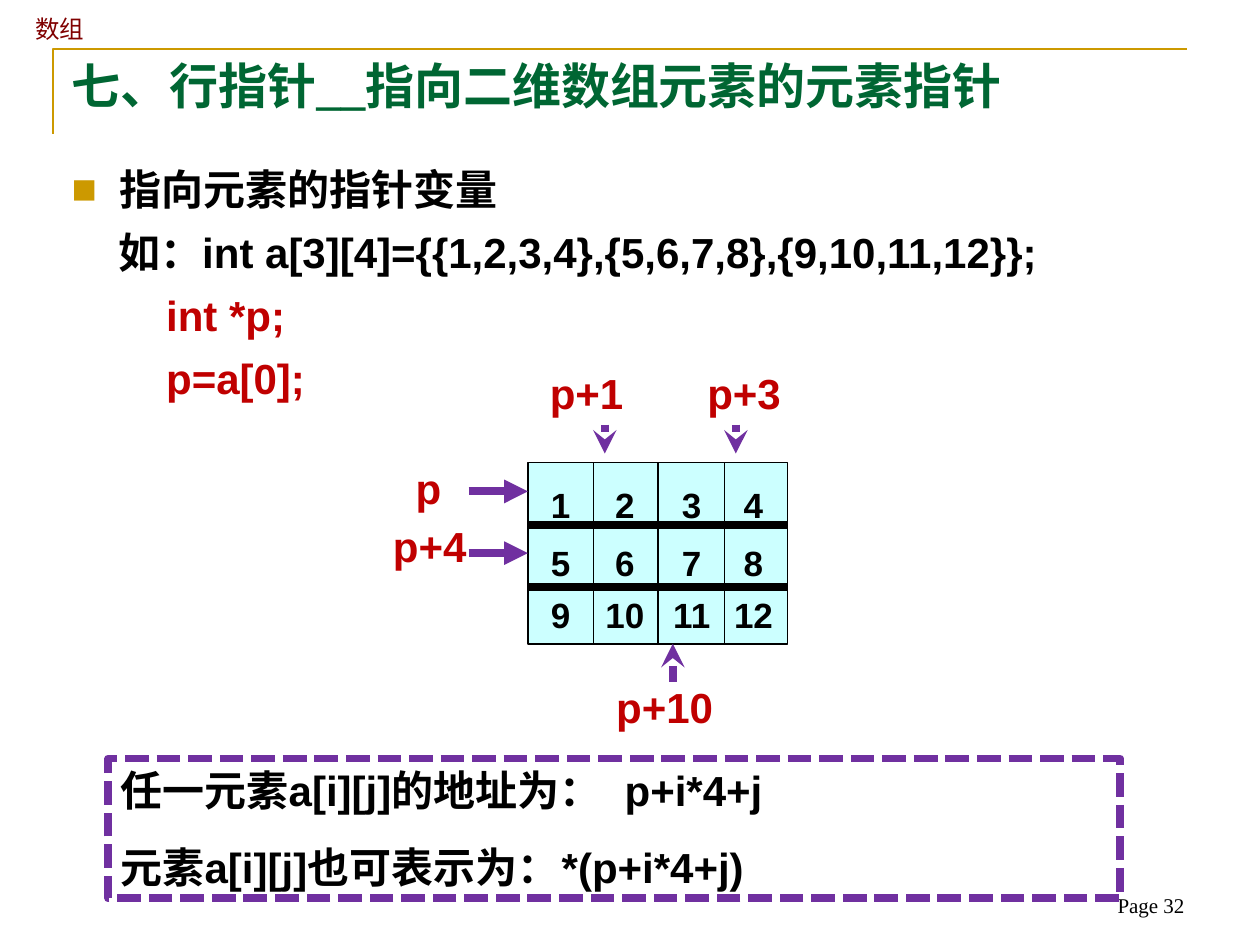
from dataclasses import dataclass

from pptx import Presentation
from pptx.dml.color import RGBColor
from pptx.enum.dml import MSO_LINE
from pptx.enum.shapes import MSO_CONNECTOR, MSO_SHAPE
from pptx.enum.text import MSO_ANCHOR, PP_ALIGN
from pptx.oxml.ns import qn
from pptx.util import Inches, Pt
from lxml import etree

LEFT, CENTER, RIGHT = PP_ALIGN.LEFT, PP_ALIGN.CENTER, PP_ALIGN.RIGHT
TOP, BOTTOM = MSO_ANCHOR.TOP, MSO_ANCHOR.BOTTOM
STRAIGHT, RECT, SYS_DASH = MSO_CONNECTOR.STRAIGHT, MSO_SHAPE.RECTANGLE, MSO_LINE.SQUARE_DOT
BLACK, RED, PURPLE, GOLD = "000000", "C00000", "7030A0", "CC9900"
CJK = "Noto Sans CJK SC"


@dataclass
class Para:
    text: str
    size: float = 24
    color: str = BLACK
    font: str = "Arial"
    bold: bool = True
    align: PP_ALIGN = LEFT
    before: float = 0
    margin: float = 0
    indent: float = 0
    bullet: str = ""
    tab: float = 0


@dataclass
class Label:
    text: str
    left: float
    top: float
    width: float


@dataclass
class Arrow:
    x1: float
    y1: float
    x2: float
    y2: float
    head: str


def rgb(value: str) -> RGBColor:
    return RGBColor.from_string(value)


def add_child(parent, tag: str, **attrs):
    return etree.SubElement(parent, qn(tag), attrs)


def write(tf, paras: list[Para], wrap: bool = True, anchor=TOP) -> None:
    frame = {"word_wrap": wrap, "vertical_anchor": anchor,
             "margin_left": Inches(0.1), "margin_right": Inches(0.1),
             "margin_top": Inches(0.05), "margin_bottom": Inches(0.05)}
    for name, value in frame.items():
        setattr(tf, name, value)
    for i, para in enumerate(paras):
        p = tf.paragraphs[0] if i == 0 else tf.add_paragraph()
        p.alignment, p.space_before = para.align, Pt(para.before)
        pPr = p._p.get_or_add_pPr()
        pPr.set("marL", str(Inches(para.margin)))
        pPr.set("indent", str(Inches(para.indent)))
        if para.bullet:
            add_child(add_child(pPr, "a:buClr"), "a:srgbClr", val=GOLD)
            add_child(pPr, "a:buFont", typeface="Arial")
            add_child(pPr, "a:buChar", char=para.bullet)
        else:
            add_child(pPr, "a:buNone")
        if para.tab:
            add_child(add_child(pPr, "a:tabLst"), "a:tab", pos=str(Inches(para.tab)), algn="l")
        r = p.add_run()
        r.text = para.text
        for name, value in {"size": Pt(para.size), "bold": para.bold, "name": para.font}.items():
            setattr(r.font, name, value)
        r.font.color.rgb = rgb(para.color)
        add_child(r._r.get_or_add_rPr(), "a:ea", typeface=CJK)


def add_text(s, left: float, top: float, width: float, height: float,
             paras: list[Para], **frame) -> None:
    box = s.shapes.add_textbox(Inches(left), Inches(top), Inches(width), Inches(height))
    write(box.text_frame, paras, **frame)


def add_rect(s, left: float, top: float, width: float, height: float,
             color: str, weight: float, fill: str = ""):
    sp = s.shapes.add_shape(RECT, Inches(left), Inches(top), Inches(width), Inches(height))
    sp.shadow.inherit = False
    if fill:
        sp.fill.solid()
        sp.fill.fore_color.rgb = rgb(fill)
    else:
        sp.fill.background()
    sp.line.color.rgb, sp.line.width = rgb(color), Pt(weight)
    return sp


def add_line(s, x1: float, y1: float, x2: float, y2: float,
             color: str, weight: float, head: str = ""):
    line = s.shapes.add_connector(STRAIGHT, Inches(x1), Inches(y1), Inches(x2), Inches(y2))
    line.line.color.rgb, line.line.width = rgb(color), Pt(weight)
    if head:
        add_child(line.line._get_or_add_ln(), "a:tailEnd", type=head)
    add_child(line._element.spPr, "a:effectLst")
    return line


# Array grid geometry
GRID_L, GRID_T, GRID_W, GRID_H = 4.19, 3.67, 2.06, 1.44
GRID_R, GRID_B = GRID_L + GRID_W, GRID_T + GRID_H
COL_W = 0.52
ROW_LINES = [4.17, 4.66]
NUMBER_TOPS = [3.79, 4.25, 4.66]
NUMBER_LEFTS = [4.19, 4.7, 5.23, 5.72]

LABELS = [
    Label("p", 2.81, 3.62, 1.18),
    Label("p+4", 2.82, 4.08, 1.18),
    Label("p+1", 4.05, 2.87, 1.21),
    Label("p+3", 5.33, 2.87, 1.15),
    Label("p+10", 4.71, 5.36, 1.13),
]
ARROWS = [
    Arrow(3.72, 3.9, GRID_L, 3.9, "triangle"),
    Arrow(4.8, 3.37, 4.8, 3.6, "stealth"),
    Arrow(5.84, 3.37, 5.84, 3.6, "stealth"),
    Arrow(5.34, 5.41, 5.34, GRID_B, "stealth"),
]


def draw_array(s) -> None:
    grid = add_rect(s, GRID_L, GRID_T, GRID_W, GRID_H, BLACK, 1, "CCFFFF")
    for y in ROW_LINES:
        add_line(s, GRID_L, y, GRID_R, y, BLACK, 4.5)
    for col in (1, 2, 3):
        x = GRID_L + col * COL_W
        divider = add_line(s, x, GRID_T, x, GRID_B, BLACK, 1)
        if col == 2:
            divider.begin_connect(grid, 0)
            divider.end_connect(grid, 2)
    for row, top in enumerate(NUMBER_TOPS):
        for col, left in enumerate(NUMBER_LEFTS):
            number = str(row * 4 + col + 1)
            add_text(s, left, top, COL_W, 0.44, [Para(number, 20, align=CENTER)])

    # Pointer labels and arrows
    for label in LABELS:
        add_text(s, label.left, label.top, label.width, 0.5,
                 [Para(label.text, color=RED, align=CENTER)])
    for a in ARROWS:
        add_line(s, a.x1, a.y1, a.x2, a.y2, PURPLE, 4.5, a.head)
    row_arrow = add_line(s, 3.72, 4.39, GRID_L, 4.39, PURPLE, 4.5, "triangle")
    row_arrow.end_connect(grid, 1)


def main() -> None:
    prs = Presentation()
    prs.slide_width, prs.slide_height = Inches(10), Inches(7.5)
    s = prs.slides.add_slide(prs.slide_layouts[5])

    # Corner rule, chapter name and page number
    builder = s.shapes.build_freeform(Inches(0.42), Inches(1.06))
    builder.add_line_segments([(Inches(0.42), Inches(0.39)), (Inches(9.42), Inches(0.39))],
                              close=False)
    corner = builder.convert_to_shape()
    corner.shadow.inherit = False
    corner.fill.background()
    corner.line.color.rgb, corner.line.width = rgb(GOLD), Pt(1.5)
    add_text(s, 0.18, 0.06, 0.59, 0.44, [Para("数组", 14, "800000", CJK, False)], wrap=False)
    add_text(s, 7.17, 6.83, 2.33, 0.5,
             [Para("Page 32", 12, font="Times New Roman", bold=False, align=RIGHT)], anchor=BOTTOM)

    # Title
    title = s.shapes.title
    place = {"left": 0.47, "top": 0.39, "width": 9, "height": 1.25}
    for name, value in place.items():
        setattr(title, name, Inches(value))
    write(title.text_frame, [Para("七、行指针__指向二维数组元素的元素指针", 28, "006633",
                                  "Times New Roman")])

    # Declarations
    code = {"before": 7.2, "margin": 0.75, "color": RED}
    add_text(s, 0.47, 1.25, 8.91, 2.11, [
        Para("指向元素的指针变量", before=7.2, margin=0.38, indent=-0.38, bullet="■"),
        Para("如：int a[3][4]={{1,2,3,4},{5,6,7,8},{9,10,11,12}};", before=7.2,
             margin=0.73, indent=-0.36),
        Para("int *p;", **code),
        Para("p=a[0];", **code),
    ])

    draw_array(s)

    # Address formulas
    formulas = add_rect(s, 0.86, 6.02, 8.03, 1.11, PURPLE, 4.5)
    formulas.line.dash_style = SYS_DASH
    formulas.line._get_or_add_ln().find(qn("a:prstDash")).set("val", "sysDash")
    write(formulas.text_frame, [
        Para("任一元素a[i][j]的地址为：\tp+i*4+j", before=15, tab=4.51),
        Para("元素a[i][j]也可表示为：\t*(p+i*4+j)", before=15, tab=4.25),
    ])

    prs.save("out.pptx")


if __name__ == "__main__":
    main()
